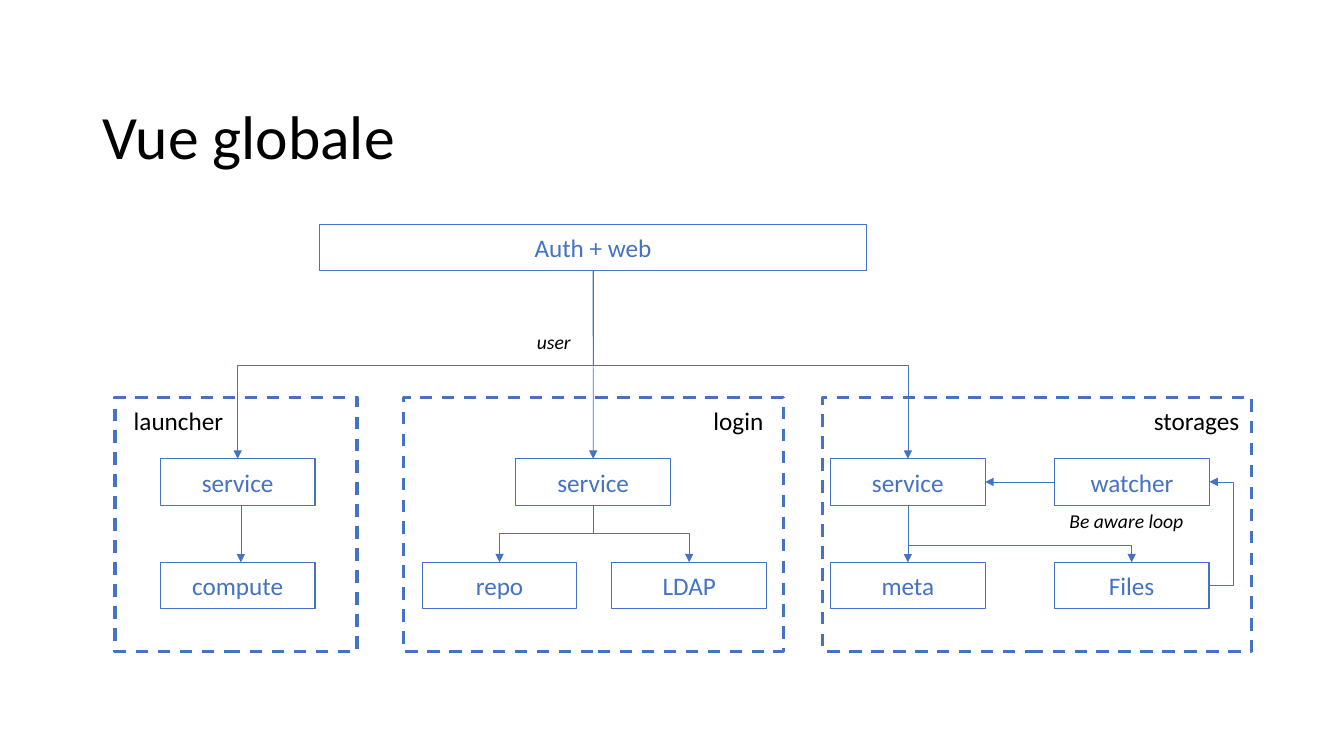
from collections import namedtuple

from lxml.etree import SubElement
from pptx import Presentation
from pptx.dml.color import RGBColor
from pptx.enum.dml import MSO_LINE
from pptx.enum.shapes import MSO_CONNECTOR, MSO_SHAPE
from pptx.enum.text import MSO_ANCHOR, MSO_AUTO_SIZE, PP_ALIGN
from pptx.oxml.ns import qn
from pptx.util import Cm, Pt

BLUE = RGBColor(0x44, 0x72, 0xC4)
BLACK = RGBColor(0x00, 0x00, 0x00)
FONT = "Calibri"
NODE_WIDTH, NODE_HEIGHT = 3.9, 1.17
SERVICE_ROW, BACKEND_ROW = 1.55, 4.16

Box = namedtuple("Box", "left top width height")


def top_of(box):
    return box.left + box.width / 2, box.top


def bottom_of(box):
    return box.left + box.width / 2, box.top + box.height


def left_of(box):
    return box.left, box.top + box.height / 2


def right_of(box):
    return box.left + box.width, box.top + box.height / 2


def in_cm(values):
    return [Cm(value) for value in values]


def style_text(frame, text, size, color, italic=False):
    frame.text = text
    para = frame.paragraphs[0]
    font = para.runs[0].font
    font.name, font.size, font.italic = FONT, Pt(size), italic
    font.color.rgb = color
    return para


def add_label(page, box, text, size=18, italic=False):
    label = page.shapes.add_textbox(*in_cm(box))
    frame = label.text_frame
    frame.word_wrap = False
    frame.auto_size = MSO_AUTO_SIZE.SHAPE_TO_FIT_TEXT
    style_text(frame, text, size, BLACK, italic)


def add_outline(page, box, weight):
    outline = page.shapes.add_shape(MSO_SHAPE.RECTANGLE, *in_cm(box))
    outline.shadow.inherit = False
    outline.fill.background()
    outline.line.color.rgb = BLUE
    outline.line.width = Pt(weight)
    return outline


def add_node(page, box, text):
    frame = add_outline(page, box, 0.75).text_frame
    frame.vertical_anchor = MSO_ANCHOR.MIDDLE
    style_text(frame, text, 18, BLUE).alignment = PP_ALIGN.CENTER


def add_panel(page, box):
    add_outline(page, box, 2.25).line.dash_style = MSO_LINE.DASH


def add_panel_node(page, panel, across, down, text):
    box = Box(panel.left + across, panel.top + down, NODE_WIDTH, NODE_HEIGHT)
    add_node(page, box, text)
    return box


def add_arrow(page, start, end, kind=MSO_CONNECTOR.STRAIGHT):
    arrow = page.shapes.add_connector(kind, *in_cm(start + end))
    arrow.line.color.rgb = BLUE
    arrow.line.width = Pt(0.5)
    SubElement(arrow.line._get_or_add_ln(), qn("a:tailEnd"), type="triangle")
    SubElement(arrow.element.spPr, qn("a:effectLst"))
    return arrow


def set_bend(arrow, share):
    guides = arrow.element.spPr.find(qn("a:prstGeom")).find(qn("a:avLst"))
    SubElement(guides, qn("a:gd"), name="adj1", fmla=f"val {round(share * 100000)}")


def add_branch(page, start, end, share=0.5):
    across, down = abs(end[0] - start[0]), end[1] - start[1]
    middle_x, middle_y = (start[0] + end[0]) / 2, (start[1] + end[1]) / 2
    corner = middle_x - down / 2, middle_y - across / 2
    opposite = middle_x + down / 2, middle_y + across / 2
    arrow = add_arrow(page, corner, opposite, MSO_CONNECTOR.ELBOW)
    frame = arrow.element.spPr.find(qn("a:xfrm"))
    if end[0] > start[0]:
        frame.set("rot", "16200000")
        frame.set("flipH", "1")
    else:
        frame.set("rot", "5400000")
    set_bend(arrow, share)


def add_title(page, box):
    frame = page.shapes.add_textbox(*in_cm(box)).text_frame
    frame.word_wrap = True
    frame.vertical_anchor = MSO_ANCHOR.MIDDLE
    style_text(frame, "Vue globale", 44, BLACK).line_spacing = 0.9


def add_launcher(page, box):
    add_panel(page, box)
    add_label(page, Box(box.left + 0.22, box.top + 0.07, 2.79, 1.03), "launcher")
    service = add_panel_node(page, box, 1.14, SERVICE_ROW, "service")
    compute = add_panel_node(page, box, 1.14, BACKEND_ROW, "compute")
    line_x = top_of(compute)[0] + 0.08
    add_arrow(page, (line_x, bottom_of(service)[1]), (line_x, compute.top))
    return service


def add_login(page, box):
    add_panel(page, box)
    add_label(page, Box(box.left + 7.57, box.top + 0.07, 1.78, 1.03), "login")
    service = add_panel_node(page, box, 2.84, SERVICE_ROW, "service")
    for across, text in ((0.48, "repo"), (5.26, "LDAP")):
        backend = add_panel_node(page, box, across, BACKEND_ROW, text)
        add_branch(page, bottom_of(service), top_of(backend))
    return service


def add_storages(page, box):
    add_panel(page, box)
    add_label(page, Box(box.left + 8.1, box.top + 0.07, 2.69, 1.03), "storages")
    service = add_panel_node(page, box, 0.2, SERVICE_ROW, "service")
    watcher = add_panel_node(page, box, 5.85, SERVICE_ROW, "watcher")
    meta = add_panel_node(page, box, 0.2, BACKEND_ROW, "meta")
    files = add_panel_node(page, box, 5.84, BACKEND_ROW, "Files")
    add_arrow(page, left_of(watcher), right_of(service))
    add_arrow(page, bottom_of(service), top_of(meta))
    add_branch(page, bottom_of(service), top_of(files), 0.7)
    loop = add_arrow(page, right_of(files), right_of(watcher), MSO_CONNECTOR.ELBOW)
    set_bend(loop, 62)
    add_label(page, Box(box.left + 5.97, box.top + 2.7, 3.4, 0.86),
              "Be aware loop", 14, True)
    return service


def add_entry(page, box, services):
    add_node(page, box, "Auth + web")
    launcher, login, storages = services
    add_arrow(page, bottom_of(box), top_of(login))
    for service in (launcher, storages):
        add_branch(page, bottom_of(box), top_of(service))
    add_label(page, Box(box.left + 5.23, box.top + 2.52, 1.37, 0.86), "user", 14, True)


def main():
    deck = Presentation()
    deck.slide_width, deck.slide_height = Cm(33.87), Cm(19.05)
    page = deck.slides.add_slide(deck.slide_layouts[6])
    add_title(page, Box(2.33, 1.68, 29.21, 3.68))
    services = (
        add_launcher(page, Box(2.9, 10.01, 6.1, 6.4)),
        add_login(page, Box(10.16, 10.01, 9.58, 6.4)),
        add_storages(page, Box(20.73, 10.01, 10.82, 6.4)),
    )
    add_entry(page, Box(8.05, 5.66, 13.79, NODE_HEIGHT), services)
    deck.save("out.pptx")


if __name__ == "__main__":
    main()
